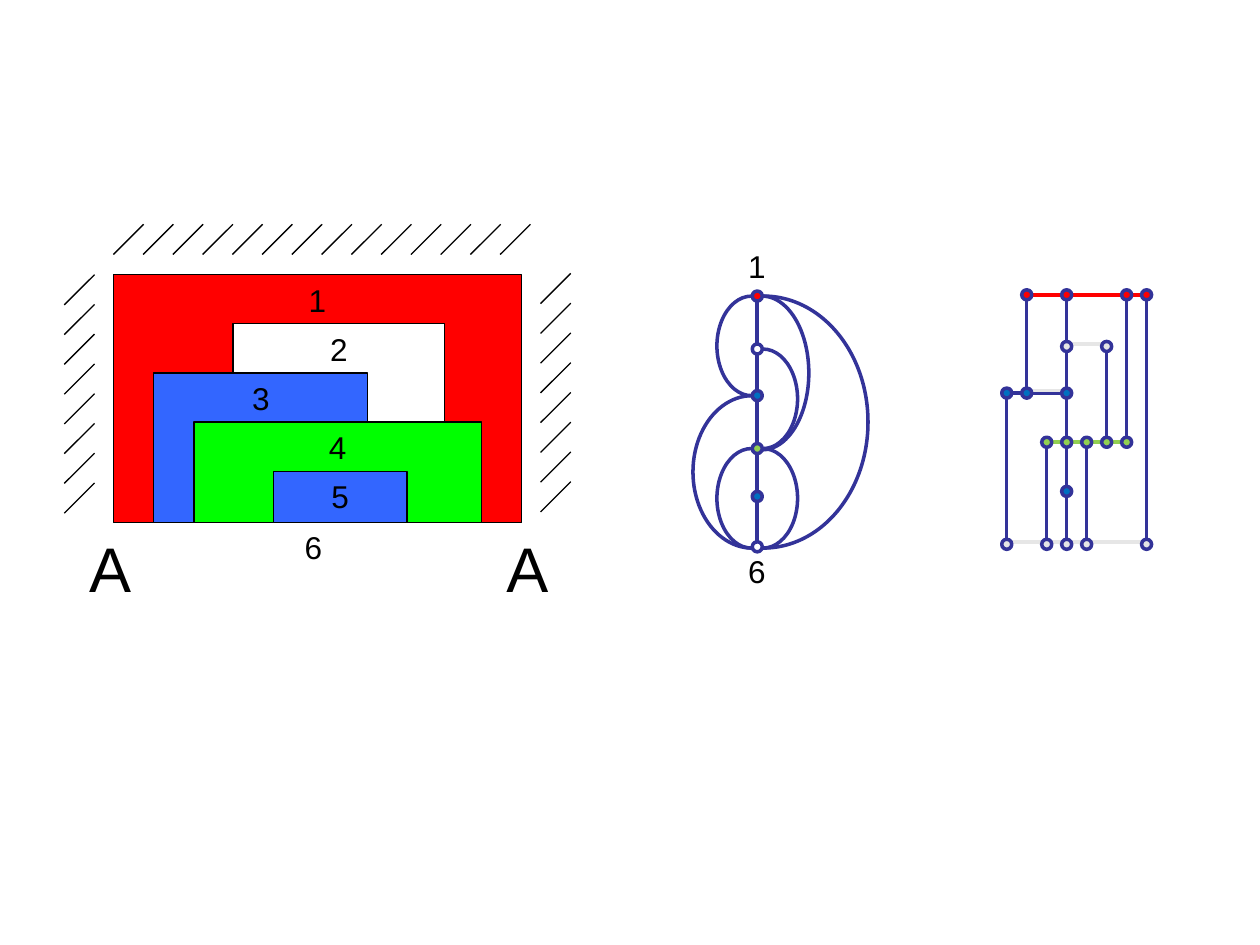
import lxml.etree
import pptx
import pptx.dml.color
import pptx.enum.shapes
import pptx.enum.text
import pptx.oxml.ns
import pptx.util

Inches = pptx.util.Inches
Shapes = pptx.enum.shapes.MSO_SHAPE

COLORS = {
    "black": "000000",
    "white": "FFFFFF",
    "red": "FF0000",
    "blue": "3366FF",
    "green": "00FF00",
    "indigo": "333399",
    "node_blue": "0070C0",
    "node_green": "92D050",
    "grey": "E6E6E6",
}
NODE_SIZE = 0.08
LAYER_STEP = 0.39
HATCH_SIZE = 0.24
HATCH_PITCH = (4.21 - 1.14) / 13
TRACK_LEFT = 7.99
TRACK_PITCH = (9.1 - TRACK_LEFT) / 7


def rgb(name):
    return pptx.dml.color.RGBColor.from_string(COLORS[name])


def write_text(holder, text, size=18, color="black", align="LEFT", font="Arial"):
    frame = holder.text_frame
    frame.word_wrap = False
    frame.vertical_anchor = pptx.enum.text.MSO_ANCHOR.TOP
    paragraph = frame.paragraphs[0]
    paragraph.alignment = getattr(pptx.enum.text.PP_ALIGN, align)
    run = paragraph.add_run()
    run.text = text
    run.font.size = pptx.util.Pt(size)
    run.font.name = font
    run.font.color.rgb = rgb(color)


def add_label(canvas, text, left, top, width=0.34, height=0.4, **text_format):
    label = canvas.add_textbox(Inches(left), Inches(top), Inches(width), Inches(height))
    write_text(label, text, **text_format)
    label.text_frame.auto_size = pptx.enum.text.MSO_AUTO_SIZE.SHAPE_TO_FIT_TEXT


def add_outlined(canvas, preset, left, top, width, height, fill, line, weight):
    outlined = canvas.add_shape(preset, Inches(left), Inches(top), Inches(width), Inches(height))
    outlined.shadow.inherit = False
    if fill:
        outlined.fill.solid()
        outlined.fill.fore_color.rgb = rgb(fill)
    else:
        outlined.fill.background()
    outlined.line.color.rgb = rgb(line)
    outlined.line.width = pptx.util.Pt(weight)
    return outlined


def add_line(canvas, start, end, color="indigo", weight=2):
    line = canvas.add_connector(
        pptx.enum.shapes.MSO_CONNECTOR.STRAIGHT, *map(Inches, (*start, *end))
    )
    line.line.color.rgb = rgb(color)
    line.line.width = pptx.util.Pt(weight)
    lxml.etree.SubElement(line.element.spPr, pptx.oxml.ns.qn("a:effectLst"))


def add_node(canvas, x, y, fill):
    radius = NODE_SIZE / 2
    add_outlined(canvas, Shapes.OVAL, x - radius, y - radius, NODE_SIZE, NODE_SIZE, fill, "indigo", 2)


def add_half_arc(canvas, side, left, top, width, height):
    arc = add_outlined(canvas, Shapes.ARC, left, top, width, height, None, "indigo", 2)
    start, end = (162, 54) if side == "right" else (54, 162)
    arc.adjustments[0] = start
    arc.adjustments[1] = end


def add_hatching(canvas, left, top, count, horizontal):
    for index in range(count):
        x = left + index * HATCH_PITCH * horizontal
        y = top + index * HATCH_PITCH * (not horizontal)
        add_line(canvas, (x + HATCH_SIZE, y), (x, y + HATCH_SIZE), "black", 0.75)


def draw_cross_section(canvas):
    first_top, bottom = 2.18, 4.15
    layers = [
        (0.9, 3.24, "red"),
        (1.85, 1.68, "white"),
        (1.22, 1.7, "blue"),
        (1.54, 2.28, "green"),
        (2.17, 1.06, "blue"),
    ]
    for index, (left, width, fill) in enumerate(layers):
        top = first_top + index * LAYER_STEP
        layer = add_outlined(
            canvas, Shapes.RECTANGLE, left, top, width, bottom - top, fill, "black", 0.75
        )
        write_text(layer, str(index + 1), align="CENTER")
    for left in (0.61, 3.92):
        add_label(canvas, "A", left, 4.15, 0.53, 0.7, size=36)
    add_label(canvas, "6", 2.32, 4.14)
    add_hatching(canvas, 0.51, 2.18, 8, False)
    add_hatching(canvas, 4.29, 2.17, 8, False)
    add_hatching(canvas, 0.9, 1.78, 14, True)


def draw_adjacency_graph(canvas):
    half_arcs = [
        ("right", 5.78, 2.77, 0.55, 0.79),
        ("right", 5.68, 2.35, 0.74, 1.22),
        ("left", 5.69, 2.35, 0.55, 0.79),
        ("left", 5.69, 3.56, 0.55, 0.79),
        ("right", 5.78, 3.56, 0.55, 0.79),
        ("right", 5.23, 2.35, 1.66, 2),
        ("left", 5.5, 3.14, 0.94, 1.21),
    ]
    for half_arc in half_arcs:
        add_half_arc(canvas, *half_arc)
    spine_x, radius = 6.01, NODE_SIZE / 2
    spine = [
        (2.35, "red"),
        (2.77, None),
        (3.14, "node_blue"),
        (3.56, "node_green"),
        (3.94, "node_blue"),
        (4.34, None),
    ]
    for (upper, _), (lower, _) in zip(spine, spine[1:]):
        add_line(canvas, (spine_x, lower - radius), (spine_x, upper + radius))
    for y, fill in spine:
        add_node(canvas, spine_x, y, fill)


def track_x(track):
    return TRACK_LEFT + track * TRACK_PITCH


def draw_visibility_graph(canvas):
    bars = [
        (0, 7, 2.34, "red"),
        (3, 5, 2.73, "grey"),
        (0, 3, 3.12, "indigo"),
        (1, 3, 3.1, "grey"),
        (2, 6, 3.51, "node_green"),
        (0, 7, 4.3, "grey"),
    ]
    bars[0] = (1, *bars[0][1:])
    for first, last, y, color in bars:
        add_line(canvas, (track_x(first), y), (track_x(last), y), color)
    edges = [
        (3, 2.33, 4.3),
        (1, 2.33, 3.12),
        (6, 2.33, 3.51),
        (7, 2.33, 4.3),
        (5, 2.73, 3.51),
        (0, 3.12, 4.3),
        (2, 3.51, 4.3),
        (4, 3.51, 4.3),
    ]
    for track, top, bottom in edges:
        add_line(canvas, (track_x(track), bottom), (track_x(track), top))
    node_rows = [
        (2.34, "red", (1, 3, 6, 7)),
        (2.75, "grey", (3, 5)),
        (3.12, "node_blue", (0, 1, 3)),
        (3.51, "node_green", (2, 3, 4, 5, 6)),
        (3.9, "node_blue", (3,)),
        (4.32, "grey", (0, 2, 3, 4, 7)),
    ]
    for y, fill, tracks in node_rows:
        for track in tracks:
            add_node(canvas, track_x(track), y, fill)


def main():
    deck = pptx.Presentation()
    deck.slide_width, deck.slide_height = Inches(10), Inches(7.5)
    canvas = deck.slides.add_slide(deck.slide_layouts[6]).shapes
    draw_cross_section(canvas.add_group_shape().shapes)
    draw_adjacency_graph(canvas.add_group_shape().shapes)
    add_label(canvas, "6", 5.84, 4.33)
    add_label(canvas, "1", 5.84, 1.91)
    draw_visibility_graph(canvas)
    deck.save("out.pptx")


if __name__ == "__main__":
    main()
